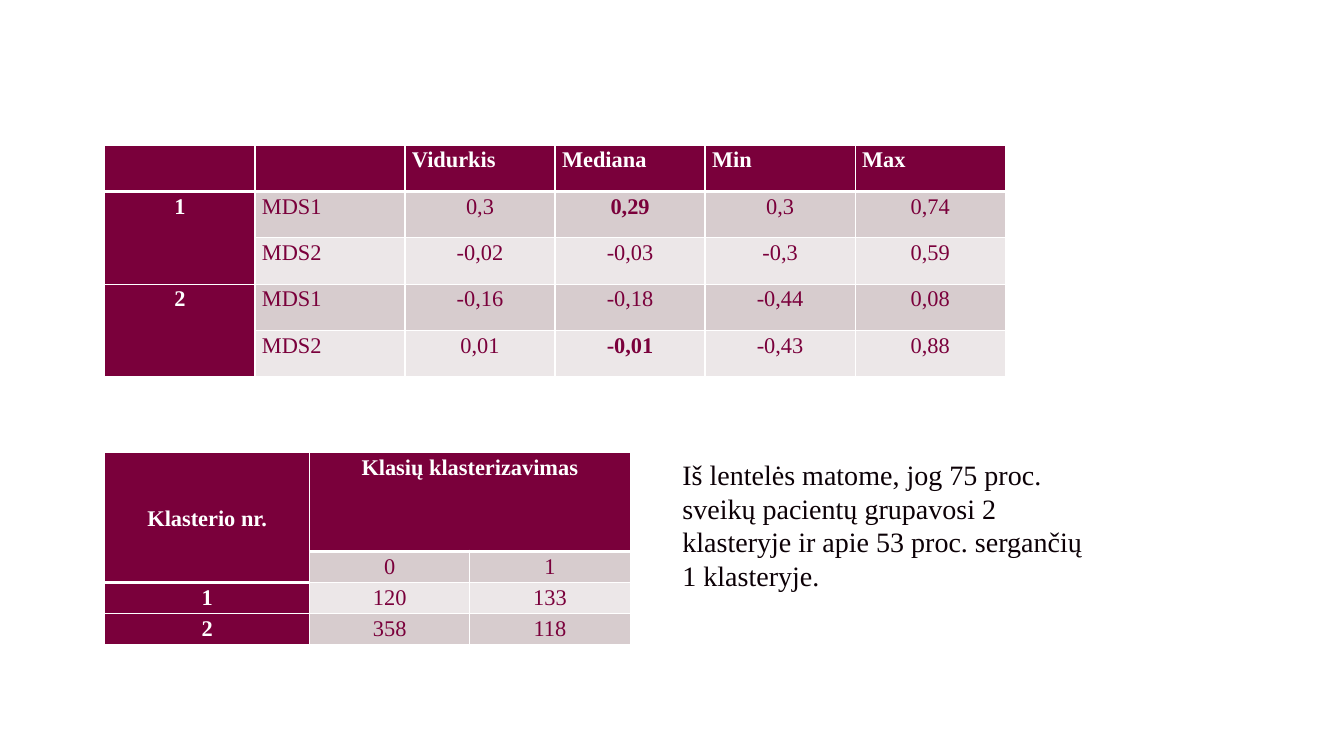
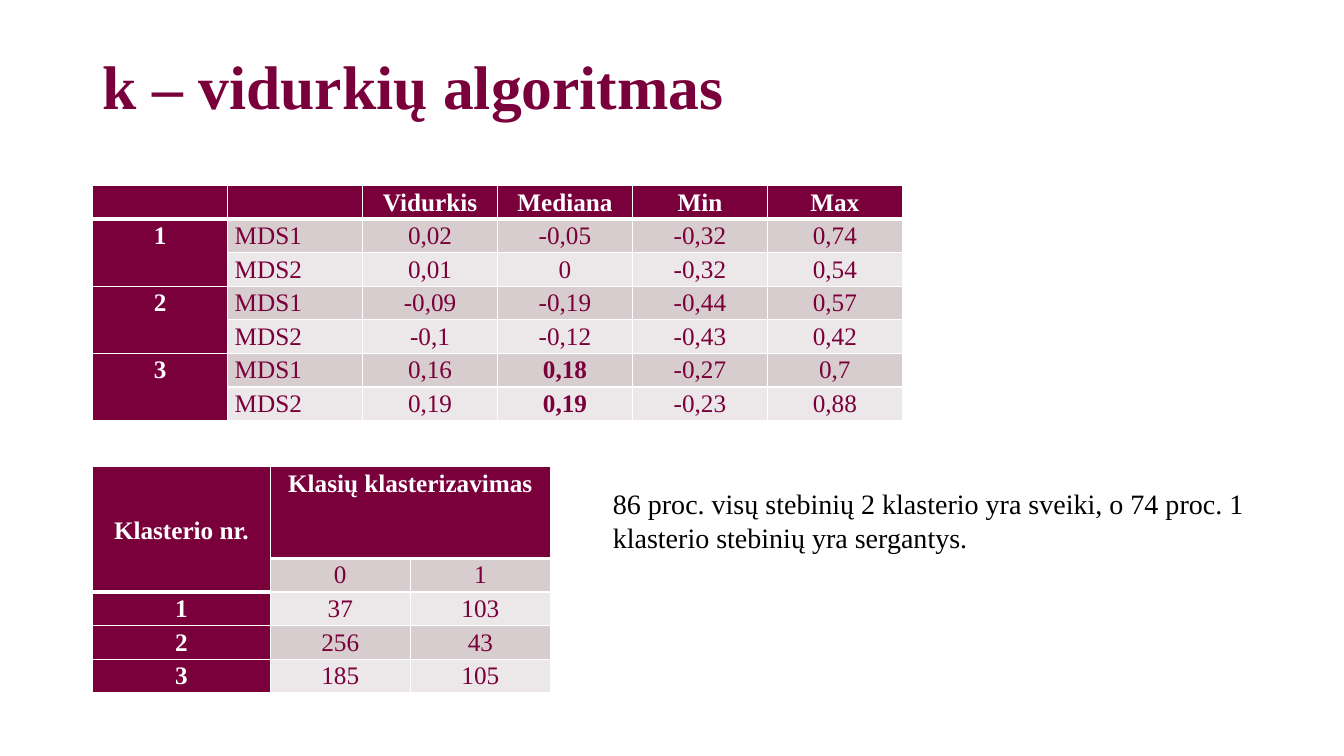
from lxml import etree
from pptx import Presentation
from pptx.dml.color import RGBColor
from pptx.enum.text import MSO_ANCHOR, PP_ALIGN
from pptx.oxml.ns import qn
from pptx.util import Inches, Pt

WHITE = RGBColor(0xFF, 0xFF, 0xFF)
BLACK = RGBColor(0x00, 0x00, 0x00)
INK = RGBColor(0x0C, 0x00, 0x06)
BURGUNDY = RGBColor(0x7A, 0x00, 0x3B)
BAND_DARK = RGBColor(0xD7, 0xCC, 0xCE)
BAND_LIGHT = RGBColor(0xEC, 0xE7, 0xE8)

LEFT, CENTER = PP_ALIGN.LEFT, PP_ALIGN.CENTER
TOP, MIDDLE = MSO_ANCHOR.TOP, MSO_ANCHOR.MIDDLE

FONT = "Times New Roman"
CELL_INSET = 0.07
STATISTICS = ["Vidurkis", "Mediana", "Min", "Max"]


class Deck:
    def __init__(self):
        self.prs = Presentation()
        self.prs.slide_width = Inches(13.33)
        self.prs.slide_height = Inches(7.5)
        self.slide = None

    def new_slide(self):
        self.slide = self.prs.slides.add_slide(self.prs.slide_layouts[6])

    def styled_run(self, paragraph, text, size, color, bold=False):
        run = paragraph.add_run()
        run.text = text
        run.font.name = FONT
        run.font.size = Pt(size)
        run.font.bold = bold
        run.font.color.rgb = color

    def text(self, text, left, top, width, height, size=20, color=BLACK, bold=False, spacing=1.0):
        frame = self.slide.shapes.add_textbox(
            Inches(left), Inches(top), Inches(width), Inches(height)).text_frame
        frame.word_wrap = True
        frame.paragraphs[0].line_spacing = spacing
        self.styled_run(frame.paragraphs[0], text, size, color, bold)

    def title(self, text):
        self.text(text, 0.92, 0.51, 9.9, 1.23, 44, BURGUNDY, True, 0.9)

    def borders(self, cell, widths):
        """Draw white cell edges; widths maps an edge tag to points."""
        props = cell._tc.get_or_add_tcPr()
        for position, (edge, width) in enumerate(widths.items()):
            line = etree.Element(qn(f"a:{edge}"), w=str(Pt(width)))
            fill = etree.SubElement(line, qn("a:solidFill"))
            etree.SubElement(fill, qn("a:srgbClr"), val=str(WHITE))
            props.insert(position, line)

    def cell(self, cell, text, size, fill, color, bold, align, is_header):
        cell.margin_left = cell.margin_right = Inches(CELL_INSET)
        cell.margin_top = cell.margin_bottom = 0
        cell.vertical_anchor = TOP
        cell.fill.solid()
        cell.fill.fore_color.rgb = fill
        widths = {"lnL": 1, "lnR": 1}
        if is_header:
            widths["lnT"] = 1
        widths["lnB"] = 3 if is_header else 1
        self.borders(cell, widths)
        if text:
            paragraph = cell.text_frame.paragraphs[0]
            paragraph.alignment = align
            paragraph.line_spacing = 1.11
            paragraph.space_after = Pt(0.7)
            self.styled_run(paragraph, text, size, color, bold)

    def table(self, rows, left, top, widths, heights, size, bold=(), aligns=None, merges=()):
        """Build a banded table; bold holds (row, column), merges (row, column, row, column)."""
        aligns = aligns or {}
        table = self.slide.shapes.add_table(
            len(rows), len(widths), Inches(left), Inches(top),
            Inches(sum(widths)), Inches(sum(heights))).table
        table.first_row = table.horz_banding = False
        for column, width in zip(table.columns, widths):
            column.width = Inches(width)
        for row, height in zip(table.rows, heights):
            row.height = Inches(height)
        header_cells = {(0, c) for c in range(len(widths))}
        for r1, c1, r2, c2 in merges:
            table.cell(r1, c1).merge(table.cell(r2, c2))
            if r1 == 0:
                header_cells |= {(r, c) for r in range(r1, r2 + 1) for c in range(c1, c2 + 1)}
        for r, row in enumerate(rows):
            for c, text in enumerate(row):
                is_label = r == 0 or c == 0
                band = BAND_DARK if r % 2 else BAND_LIGHT
                self.cell(table.cell(r, c), text, size,
                          BURGUNDY if is_label else band,
                          WHITE if is_label else BURGUNDY,
                          is_label or (r, c) in bold,
                          aligns.get((r, c), CENTER), (r, c) in header_cells)
        return table

    def statistics_table(self, clusters, left, top, width, row_height, size, bold, header_align):
        """Show two MDS rows of statistics for each cluster."""
        rows = [["", ""] + STATISTICS]
        for number, (mds1, mds2) in enumerate(clusters, 1):
            rows += [[str(number), "MDS1"] + mds1, ["", "MDS2"] + mds2]
        aligns = {(0, c): header_align for c in range(2, 6)}
        aligns.update({(r, 1): LEFT for r in range(1, len(rows))})
        self.table(rows, left, top, [width / 6] * 6, [row_height] * len(rows), size, bold,
                   aligns, [(r, 0, r + 1, 0) for r in range(1, len(rows), 2)])

    def class_table(self, counts, left, top, widths, header_height, row_height, size):
        """Show how many members of each class fall in each cluster."""
        rows = [["Klasterio nr.", "Klasių klasterizavimas", ""], ["", "0", "1"]]
        rows += [[str(number)] + pair for number, pair in enumerate(counts, 1)]
        heights = [header_height] + [row_height] * (len(rows) - 1)
        table = self.table(rows, left, top, widths, heights, size,
                           merges=[(0, 0, 1, 0), (0, 1, 0, 2)])
        table.cell(0, 0).vertical_anchor = MIDDLE


def two_clusters(deck):
    deck.new_slide()
    deck.statistics_table(
        [(["0,3", "0,29", "0,3", "0,74"], ["-0,02", "-0,03", "-0,3", "0,59"]),
         (["-0,16", "-0,18", "-0,44", "0,08"], ["0,01", "-0,01", "-0,43", "0,88"])],
        1.04, 1.44, 8.93, 0.46, 16, {(1, 3), (4, 3)}, LEFT)
    deck.class_table([["120", "133"], ["358", "118"]],
                     1.04, 4.49, [2.03, 1.59, 1.59], 0.98, 0.31, 16)
    deck.text("Iš lentelės matome, jog 75 proc. sveikų pacientų grupavosi 2 klasteryje "
              "ir apie 53 proc. sergančių 1 klasteryje.", 6.67, 4.49, 4.27, 1.45, color=INK)


def k_means(deck):
    deck.new_slide()
    deck.title("k – vidurkių algoritmas")
    deck.statistics_table(
        [(["0,02", "-0,05", "-0,32", "0,74"], ["0,01", "0", "-0,32", "0,54"]),
         (["-0,09", "-0,19", "-0,44", "0,57"], ["-0,1", "-0,12", "-0,43", "0,42"]),
         (["0,16", "0,18", "-0,27", "0,7"], ["0,19", "0,19", "-0,23", "0,88"])],
        0.92, 1.84, 8.03, 0.32, 18, {(5, 3), (6, 3)}, CENTER)
    deck.class_table([["37", "103"], ["256", "43"], ["185", "105"]],
                     0.92, 4.63, [1.76, 1.39, 1.39], 0.91, 0.29, 18)
    deck.text("86 proc. visų stebinių 2 klasterio yra sveiki, o 74 proc. 1 klasterio "
              "stebinių yra sergantys.", 5.98, 4.78, 6.67, 0.77)


def main():
    deck = Deck()
    two_clusters(deck)
    k_means(deck)
    deck.prs.save("out.pptx")


if __name__ == "__main__":
    main()
